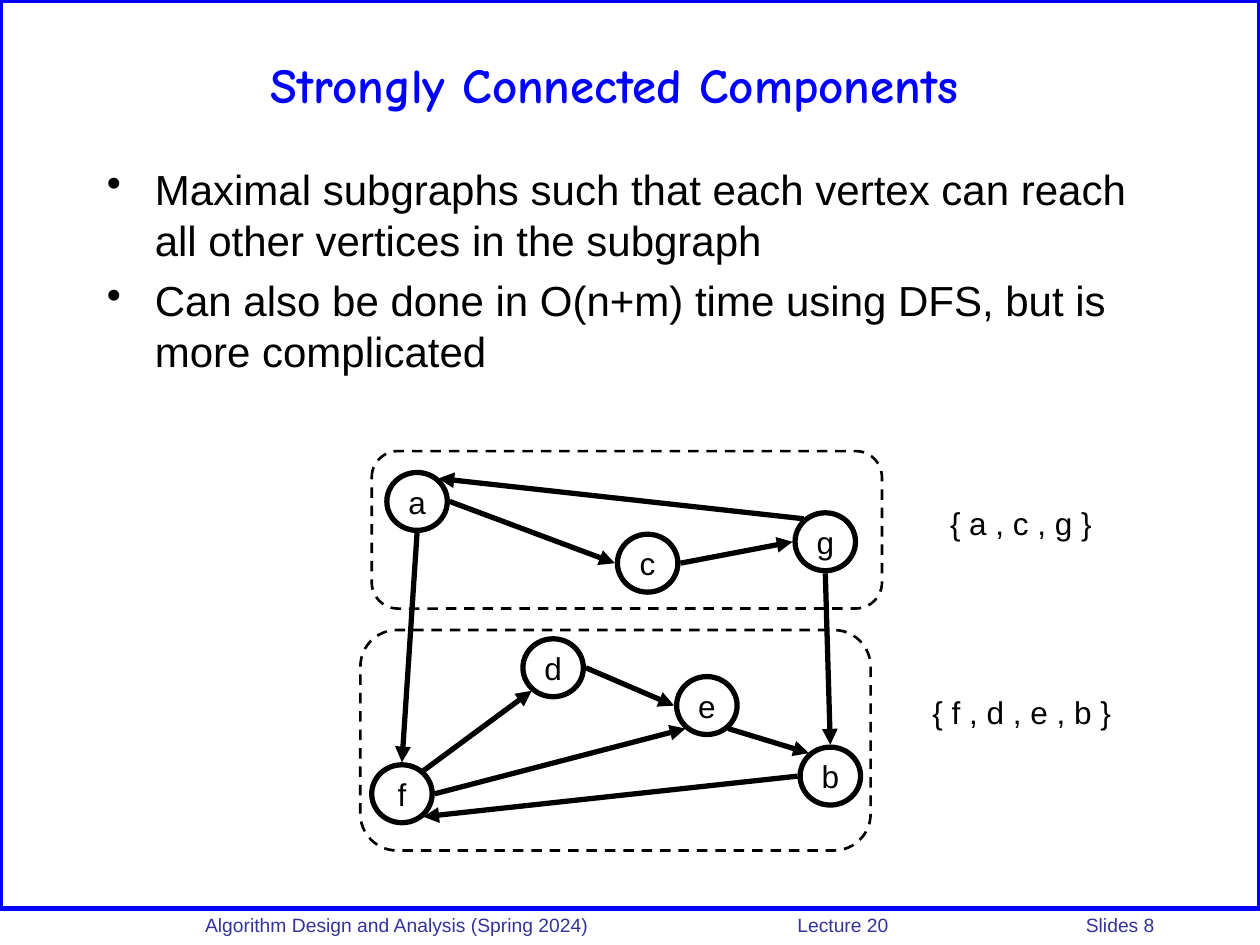
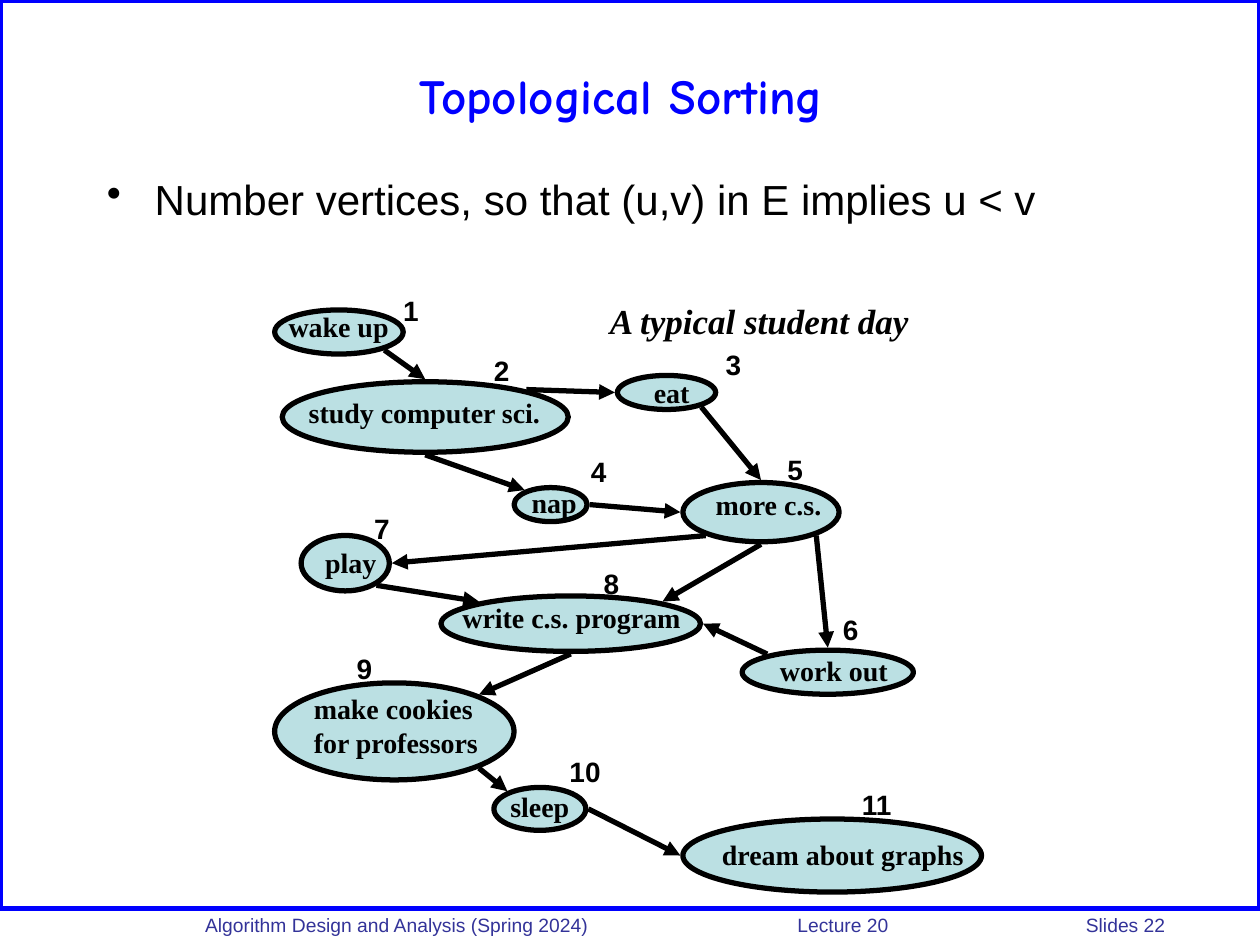
import lxml.etree
import pptx
import pptx.dml.color
import pptx.enum.dml
import pptx.enum.shapes
import pptx.enum.text
import pptx.oxml.ns
import pptx.util

Inches = pptx.util.Inches
Pt = pptx.util.Pt
RGBColor = pptx.dml.color.RGBColor
SHAPE = pptx.enum.shapes.MSO_SHAPE
ANCHOR = pptx.enum.text.MSO_ANCHOR
ALIGN = pptx.enum.text.PP_ALIGN
FIT = pptx.enum.text.MSO_AUTO_SIZE
qn = pptx.oxml.ns.qn

# Colours
BLUE = RGBColor(0x00, 0x00, 0xFF)
NAVY = RGBColor(0x33, 0x33, 0x99)
BLACK = RGBColor(0x00, 0x00, 0x00)
WHITE = RGBColor(0xFF, 0xFF, 0xFF)
PALE_TEAL = RGBColor(0xBB, 0xE0, 0xE3)

# Text formats
TITLE = {"name": "Comic Neue", "size": Pt(28), "bold": True, "color": BLUE}
BODY = {"name": "Arial", "size": Pt(24), "color": BLACK}
FOOTER = {"name": "Arial", "size": Pt(11), "color": NAVY}
VERTEX = {"name": "Arial", "size": Pt(18), "color": BLACK}
NUMBER = {"name": "Arial", "size": Pt(16), "bold": True, "color": BLACK}
TASK = {**NUMBER, "name": "Times New Roman"}
CAPTION = {**TASK, "size": Pt(20), "italic": True}

# Shared measures, in inches
FOOTER_TABS = (0.2, 4.9, 7.19)
BULLET_INDENT = 0.38
PADDING = (0.1, 0.05)
EDGE_GAP = 0.02
VERTEX_SIZE = (0.48, 0.46)
LINE_HEIGHT = 0.27
DIGIT_WIDTH = 0.13

# Slide 1: strongly connected components
COMPONENTS = {
    "number": 8,
    "title": ("Strongly Connected Components", (0.83, 0.17, 8.09, 1)),
    "bullets": (
        ["Maximal subgraphs such that each vertex can reach all other vertices in the subgraph",
         "Can also be done in O(n+m) time using DFS, but is more complicated"],
        (0.75, 1.25, 8.51, 2)),
}
VERTICES = {
    "a": (3.07, 3.75), "d": (4.15, 5.07), "c": (4.9, 4.24), "b": (6.35, 5.93),
    "e": (5.37, 5.37), "f": (2.95, 6.07), "g": (6.31, 4.07),
}
# Each edge: start, side left, end, side entered
VERTEX_EDGES = [
    ("a", "bottom", "f", "top"), ("a", "right", "c", "left"),
    ("g", "top left", "a", "top right"), ("c", "right", "g", "left"),
    ("g", "bottom", "b", "top"), ("d", "right", "e", "left"),
    ("e", "bottom right", "b", "top left"), ("f", "top right", "d", "bottom left"),
    ("f", "right", "e", "bottom left"), ("b", "left", "f", "bottom right"),
]
COMPONENT_FRAMES = [(2.95, 3.58, 4.05, 1.25), (2.86, 5, 4.05, 1.75)]
COMPONENT_SETS = [
    ("{ a , c , g }", (7.54, 4, 1.13, 0.3)),
    ("{ f , d , e , b }", (7.4, 5.5, 1.42, 0.3)),
]

# Slide 2: topological sorting
SORTING = {
    "number": 22,
    "title": ("Topological Sorting", (0.68, 0.25, 8.5, 1)),
    "bullets": (["Number vertices, so that (u,v) in E implies u < v"], (0.75, 1.33, 8.9, 0.83)),
}
DAY_CAPTION = ("A typical student day", (4.84, 2.38, 2.39, 0.33))
# In sorted order: ellipse, place and width of the text, place of the number
TASKS = {
    "wake up": ((2.18, 2.46, 1.02, 0.35), (2.29, 2.46, 0.8), (3.2, 2.33)),
    "study computer sci.": ((2.24, 3.03, 2.27, 0.56), (2.45, 3.14, 1.84), (3.92, 2.81)),
    "eat": ((4.9, 2.98, 0.78, 0.27), (5.19, 2.98, 0.3), (5.76, 2.76)),
    "nap": ((4.08, 3.87, 0.58, 0.27), (4.22, 3.85, 0.37), (4.69, 3.61)),
    "more c.s.": ((5.42, 3.83, 1.24, 0.47), (5.68, 3.87, 0.85), (6.25, 3.59)),
    "work out": ((5.89, 5.16, 1.36, 0.35), (6.19, 5.19, 0.87), (6.69, 4.86)),
    "play": ((2.39, 4.25, 0.7, 0.44), (2.58, 4.33, 0.42), (2.97, 4.06)),
    "write c.s. program": ((3.5, 4.73, 2.06, 0.44), (3.67, 4.77, 1.75), (4.79, 4.5)),
    "make cookies for professors": ((2.18, 5.42, 1.9, 0.77), (2.49, 5.49, 1.52), (2.83, 5.17)),
    "sleep": ((3.92, 6.25, 0.73, 0.34), (4.05, 6.27, 0.48), (4.52, 5.99)),
    "dream about graphs": ((5.42, 6.5, 2.37, 0.58), (5.73, 6.65, 1.93), (6.84, 6.25)),
}
TWO_LINE_TASKS = {"make cookies for professors"}
# Each edge: number of the start, side left, number of the end, side entered
TASK_EDGES = [
    (1, "bottom right", 2, "top"), (2, "top right", 3, "left"),
    (2, "bottom", 4, "top left"), (3, "bottom right", 5, "top"),
    (4, "right", 5, "left"), (5, "bottom", 8, "top right"),
    (5, "bottom left", 7, "right"), (5, "bottom right", 6, "top"),
    (6, "top left", 8, "right"), (7, "bottom right", 8, "top left"),
    (8, "bottom", 9, "top right"), (9, "bottom right", 10, "top left"),
    (10, "right", 11, "left"),
]


def inches(values):
    return [Inches(value) for value in values]


def write(para, text, text_format):
    span = para.add_run()
    span.text = text
    for key, value in text_format.items():
        if key == "color":
            span.font.color.rgb = value
        else:
            setattr(span.font, key, value)


def set_frame(frame, padding=(0, 0), wrap=False, anchor=ANCHOR.TOP, fit=FIT.NONE):
    across, down = inches(padding)
    settings = {"margin_left": across, "margin_right": across, "margin_top": down,
                "margin_bottom": down, "word_wrap": wrap, "vertical_anchor": anchor,
                "auto_size": fit}
    for key, value in settings.items():
        setattr(frame, key, value)


def add_text(page, place, text, text_format, align=ALIGN.LEFT, **frame_settings):
    frame = page.shapes.add_textbox(*inches(place)).text_frame
    set_frame(frame, **frame_settings)
    para = frame.paragraphs[0]
    para.alignment = align
    write(para, text, text_format)
    return para


def add_label(page, place, text, text_format, wrap=False):
    add_text(page, place, text, text_format, wrap=wrap, fit=FIT.SHAPE_TO_FIT_TEXT)


def add_outline(page, kind, place, line_color=BLACK, width=3, fill=None):
    shape = page.shapes.add_shape(kind, *inches(place))
    shape.shadow.inherit = False
    if fill is None:
        shape.fill.background()
    else:
        shape.fill.solid()
        shape.fill.fore_color.rgb = fill
    shape.line.color.rgb = line_color
    shape.line.width = Pt(width)
    return shape


def side_point(place, side):
    """Point just outside an ellipse, on one of its eight sides."""
    left, top, width, height = place
    across = ("right" in side) - ("left" in side)
    down = ("bottom" in side) - ("top" in side)
    diagonal = across and down
    reach = 0.5 ** 0.5 if diagonal else 1
    gap = 0 if diagonal else EDGE_GAP
    return (left + width / 2 + across * (width / 2 * reach + gap),
            top + height / 2 + down * (height / 2 * reach + EDGE_GAP))


def add_edges(page, edges, places):
    for start, start_side, end, end_side in edges:
        ends = side_point(places[start], start_side) + side_point(places[end], end_side)
        edge = page.shapes.add_connector(
            pptx.enum.shapes.MSO_CONNECTOR.STRAIGHT, *inches(ends))
        edge.line.color.rgb = BLACK
        edge.line.width = Pt(3)
        lxml.etree.SubElement(edge.line._get_or_add_ln(), qn("a:tailEnd"), type="triangle")
        lxml.etree.SubElement(edge._element.spPr, qn("a:effectLst"))


def add_bullets(page, lines, place):
    frame = page.shapes.add_textbox(*inches(place)).text_frame
    set_frame(frame, PADDING, wrap=True)
    for index, line in enumerate(lines):
        para = frame.add_paragraph() if index else frame.paragraphs[0]
        props = para._p.get_or_add_pPr()
        props.set("marL", str(Inches(BULLET_INDENT)))
        props.set("indent", str(-Inches(BULLET_INDENT)))
        lxml.etree.SubElement(props, qn("a:buChar"), char="•")
        para.space_before = Pt(6 if index else 0)
        write(para, line, BODY)


def add_page(deck, content):
    """Blank page with the frame, footer, title and bullets."""
    page = deck.slides.add_slide(deck.slide_layouts[6])
    add_outline(page, SHAPE.RECTANGLE, (0, 0, 10, 7.21), BLUE)
    footer = ("\tAlgorithm Design and Analysis (Spring 2024)\tLecture 20"
              f"\tSlides {content['number']}")
    para = add_text(page, (1.33, 7.2, 8.67, 0.26), footer, FOOTER, padding=PADDING, wrap=True)
    tabs = lxml.etree.SubElement(para._p.get_or_add_pPr(), qn("a:tabLst"))
    for stop in FOOTER_TABS:
        lxml.etree.SubElement(tabs, qn("a:tab"), pos=str(Inches(stop)), algn="l")
    title, place = content["title"]
    add_text(page, place, title, TITLE, ALIGN.CENTER,
             padding=PADDING, wrap=True, anchor=ANCHOR.MIDDLE)
    add_bullets(page, *content["bullets"])
    return page


def build_components(deck):
    page = add_page(deck, COMPONENTS)
    for text, place in COMPONENT_SETS:
        add_label(page, place, text, VERTEX)

    # Graph
    places = {name: corner + VERTEX_SIZE for name, corner in VERTICES.items()}
    for name, place in places.items():
        vertex = add_outline(page, SHAPE.OVAL, place, fill=WHITE)
        set_frame(vertex.text_frame, PADDING, anchor=ANCHOR.MIDDLE)
        para = vertex.text_frame.paragraphs[0]
        para.alignment = ALIGN.CENTER
        write(para, name, VERTEX)
    add_edges(page, VERTEX_EDGES, places)

    # Dashed frame round each component
    for place in COMPONENT_FRAMES:
        frame = add_outline(page, SHAPE.ROUNDED_RECTANGLE, place, width=1.5)
        frame.line.dash_style = pptx.enum.dml.MSO_LINE.DASH


def build_sorting(deck):
    page = add_page(deck, SORTING)

    # Graph
    places = {number: task[0] for number, task in enumerate(TASKS.values(), 1)}
    for place in places.values():
        add_outline(page, SHAPE.OVAL, place, fill=PALE_TEAL)
    add_edges(page, TASK_EDGES, places)

    # Task names and their numbers
    for number, (name, (_, text_place, number_corner)) in enumerate(TASKS.items(), 1):
        two_lines = name in TWO_LINE_TASKS
        height = LINE_HEIGHT * (2 if two_lines else 1)
        add_label(page, text_place + (height,), name, TASK, wrap=two_lines)
        digits = str(number)
        add_label(page, number_corner + (DIGIT_WIDTH * len(digits), LINE_HEIGHT), digits, NUMBER)
    caption, place = DAY_CAPTION
    add_label(page, place, caption, CAPTION)


def main():
    deck = pptx.Presentation()
    deck.slide_width, deck.slide_height = inches((10, 7.5))
    build_components(deck)
    build_sorting(deck)
    deck.save("out.pptx")


if __name__ == "__main__":
    main()
